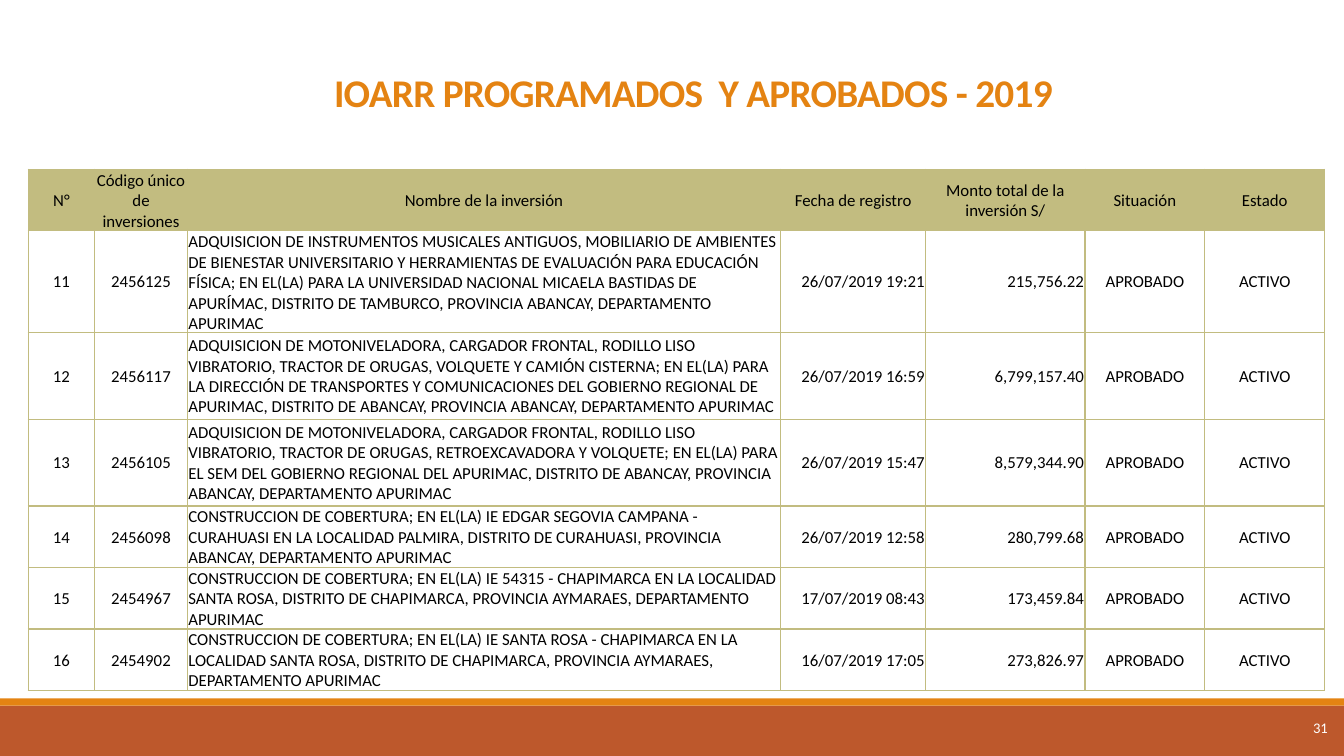
from dataclasses import dataclass

from lxml import etree
from pptx import Presentation
from pptx.dml.color import RGBColor
from pptx.enum.shapes import MSO_SHAPE
from pptx.enum.text import MSO_ANCHOR, PP_ALIGN
from pptx.oxml.ns import qn
from pptx.util import Inches, Pt

LEFT, CENTER, RIGHT = PP_ALIGN.LEFT, PP_ALIGN.CENTER, PP_ALIGN.RIGHT
MIDDLE, BOTTOM = MSO_ANCHOR.MIDDLE, MSO_ANCHOR.BOTTOM
RECTANGLE = MSO_SHAPE.RECTANGLE
TITLE_ONLY = 5
SLIDE_WIDTH, SLIDE_HEIGHT = 13.33, 7.5


@dataclass(frozen=True)
class Theme:
    font: str = "Calibri"
    orange: str = "E48312"
    rust: str = "BD582C"
    olive: str = "C2BC80"
    black: str = "000000"
    white: str = "FFFFFF"
    title_size: float = 28
    table_size: float = 12
    number_size: float = 10.5
    border_width: float = 1


THEME = Theme()

# Boxes: left, top, width, height in inches
TITLE_BOX = (1.1, 0.57, 11.55, 0.57)
TABLE_BOX = (0.28, 1.68, 12.86, 4.49)
FOOTER_BOX = (0, 6.93, SLIDE_WIDTH, 0.57)

# Relative column widths and row heights
COLUMNS = (0.66, 0.92, 5.89, 1.44, 1.58, 1.19, 1.19)
ROWS = (0.35, 0.86, 0.86, 0.86, 0.52, 0.52, 0.52)
ALIGNMENTS = (CENTER, CENTER, LEFT, RIGHT, RIGHT, CENTER, CENTER)

TITLE = "IOARR PROGRAMADOS  Y APROBADOS - 2019"
HEADINGS = ("N°", "Código único de inversiones", "Nombre de la inversión",
            "Fecha de registro", "Monto total de la inversión S/",
            "Situación", "Estado")
STATUS = ("APROBADO", "ACTIVO")
INVESTMENTS = (
    ("11", "2456125",
     "ADQUISICION DE INSTRUMENTOS MUSICALES ANTIGUOS, MOBILIARIO DE AMBIENTES "
     "DE BIENESTAR UNIVERSITARIO Y HERRAMIENTAS DE EVALUACIÓN PARA EDUCACIÓN "
     "FÍSICA; EN EL(LA) PARA LA UNIVERSIDAD NACIONAL MICAELA BASTIDAS DE "
     "APURÍMAC, DISTRITO DE TAMBURCO, PROVINCIA ABANCAY, DEPARTAMENTO APURIMAC",
     "26/07/2019 19:21", "215,756.22"),
    ("12", "2456117",
     "ADQUISICION DE MOTONIVELADORA, CARGADOR FRONTAL, RODILLO LISO "
     "VIBRATORIO, TRACTOR DE ORUGAS, VOLQUETE Y CAMIÓN CISTERNA; EN EL(LA) PARA "
     "LA DIRECCIÓN DE TRANSPORTES Y COMUNICACIONES DEL GOBIERNO REGIONAL DE "
     "APURIMAC, DISTRITO DE ABANCAY, PROVINCIA ABANCAY, DEPARTAMENTO APURIMAC",
     "26/07/2019 16:59", "6,799,157.40"),
    ("13", "2456105",
     "ADQUISICION DE MOTONIVELADORA, CARGADOR FRONTAL, RODILLO LISO "
     "VIBRATORIO, TRACTOR DE ORUGAS, RETROEXCAVADORA Y VOLQUETE; EN EL(LA) PARA "
     "EL SEM DEL GOBIERNO REGIONAL DEL APURIMAC, DISTRITO DE ABANCAY, PROVINCIA "
     "ABANCAY, DEPARTAMENTO APURIMAC",
     "26/07/2019 15:47", "8,579,344.90"),
    ("14", "2456098",
     "CONSTRUCCION DE COBERTURA; EN EL(LA) IE EDGAR SEGOVIA CAMPANA - "
     "CURAHUASI EN LA LOCALIDAD PALMIRA, DISTRITO DE CURAHUASI, PROVINCIA "
     "ABANCAY, DEPARTAMENTO APURIMAC",
     "26/07/2019 12:58", "280,799.68"),
    ("15", "2454967",
     "CONSTRUCCION DE COBERTURA; EN EL(LA) IE 54315 - CHAPIMARCA EN LA LOCALIDAD "
     "SANTA ROSA, DISTRITO DE CHAPIMARCA, PROVINCIA AYMARAES, DEPARTAMENTO "
     "APURIMAC",
     "17/07/2019 08:43", "173,459.84"),
    ("16", "2454902",
     "CONSTRUCCION DE COBERTURA; EN EL(LA) IE SANTA ROSA - CHAPIMARCA EN LA "
     "LOCALIDAD SANTA ROSA, DISTRITO DE CHAPIMARCA, PROVINCIA AYMARAES, "
     "DEPARTAMENTO APURIMAC",
     "16/07/2019 17:05", "273,826.97"),
)


def set_attributes(target, values):
    for name, value in values.items():
        setattr(target, name, value)


def write_text(frame, text, size, color, alignment, bold=False):
    frame.word_wrap = True
    paragraph = frame.paragraphs[0]
    paragraph.alignment = alignment
    run = paragraph.add_run()
    run.text = text
    set_attributes(run.font, {"name": THEME.font, "size": Pt(size), "bold": bold})
    run.font.color.rgb = RGBColor.from_string(color)
    return run


def clear_margins(frame, anchor):
    set_attributes(frame, {"margin_left": 0, "margin_top": 0, "margin_right": 0,
                           "margin_bottom": 0, "vertical_anchor": anchor})


def add_title(slide, box):
    title = slide.shapes.title
    set_attributes(title, dict(zip(("left", "top", "width", "height"),
                                   map(Inches, box))))
    clear_margins(title.text_frame, BOTTOM)
    run = write_text(title.text_frame, TITLE, THEME.title_size, THEME.orange,
                     CENTER, bold=True)
    run.font._element.set("spc", "-50")


def add_band(slide, box, color):
    band = slide.shapes.add_shape(RECTANGLE, *map(Inches, box))
    band.shadow.inherit = False
    band.fill.solid()
    band.fill.fore_color.rgb = RGBColor.from_string(color)
    band.line.fill.background()


def add_footer(slide, box):
    left, top, width, height = box
    stripe = 0.07
    add_band(slide, (left, top + stripe, width, height - stripe), THEME.rust)
    add_band(slide, (left, top, width, stripe), THEME.orange)

    # Page number, near the right end of the bands
    number_width, right_gap = 0.06 * width, 0.012 * width
    number_left = left + width - right_gap - number_width
    number = slide.shapes.add_textbox(
        *map(Inches, (number_left, top, number_width, height)))
    clear_margins(number.text_frame, MIDDLE)
    write_text(number.text_frame, "31", THEME.number_size, THEME.white, RIGHT)


def add_borders(cell):
    properties = cell._tc.get_or_add_tcPr()
    for side in ("lnL", "lnR", "lnT", "lnB"):
        line = etree.SubElement(properties, qn(f"a:{side}"),
                                w=str(Pt(THEME.border_width)))
        fill = etree.SubElement(line, qn("a:solidFill"))
        etree.SubElement(fill, qn("a:srgbClr"), val=THEME.olive)


def format_cell(cell, text, alignment, is_heading):
    set_attributes(cell, {"margin_left": Inches(0.01), "margin_top": Inches(0.01),
                          "margin_right": Inches(0.01), "margin_bottom": 0,
                          "vertical_anchor": MIDDLE})
    add_borders(cell)
    if is_heading:
        cell.fill.solid()
        cell.fill.fore_color.rgb = RGBColor.from_string(THEME.olive)
    else:
        cell.fill.background()
    write_text(cell.text_frame, text, THEME.table_size, THEME.black, alignment)


def add_investment_table(slide, box):
    table = slide.shapes.add_table(len(ROWS), len(COLUMNS),
                                   *map(Inches, box)).table
    set_attributes(table, {"first_row": False, "horz_banding": False})
    width, height = box[2:]
    for column, share in zip(table.columns, COLUMNS):
        column.width = Inches(width * share / sum(COLUMNS))
    for row, share in zip(table.rows, ROWS):
        row.height = Inches(height * share / sum(ROWS))

    records = [HEADINGS] + [investment + STATUS for investment in INVESTMENTS]
    for row_index, record in enumerate(records):
        is_heading = row_index == 0
        for column_index, text in enumerate(record):
            alignment = CENTER if is_heading else ALIGNMENTS[column_index]
            format_cell(table.cell(row_index, column_index), text, alignment,
                        is_heading)


def main():
    presentation = Presentation()
    set_attributes(presentation, {"slide_width": Inches(SLIDE_WIDTH),
                                  "slide_height": Inches(SLIDE_HEIGHT)})
    slide = presentation.slides.add_slide(presentation.slide_layouts[TITLE_ONLY])
    add_footer(slide, FOOTER_BOX)
    add_investment_table(slide, TABLE_BOX)
    add_title(slide, TITLE_BOX)
    presentation.save("out.pptx")


if __name__ == "__main__":
    main()
